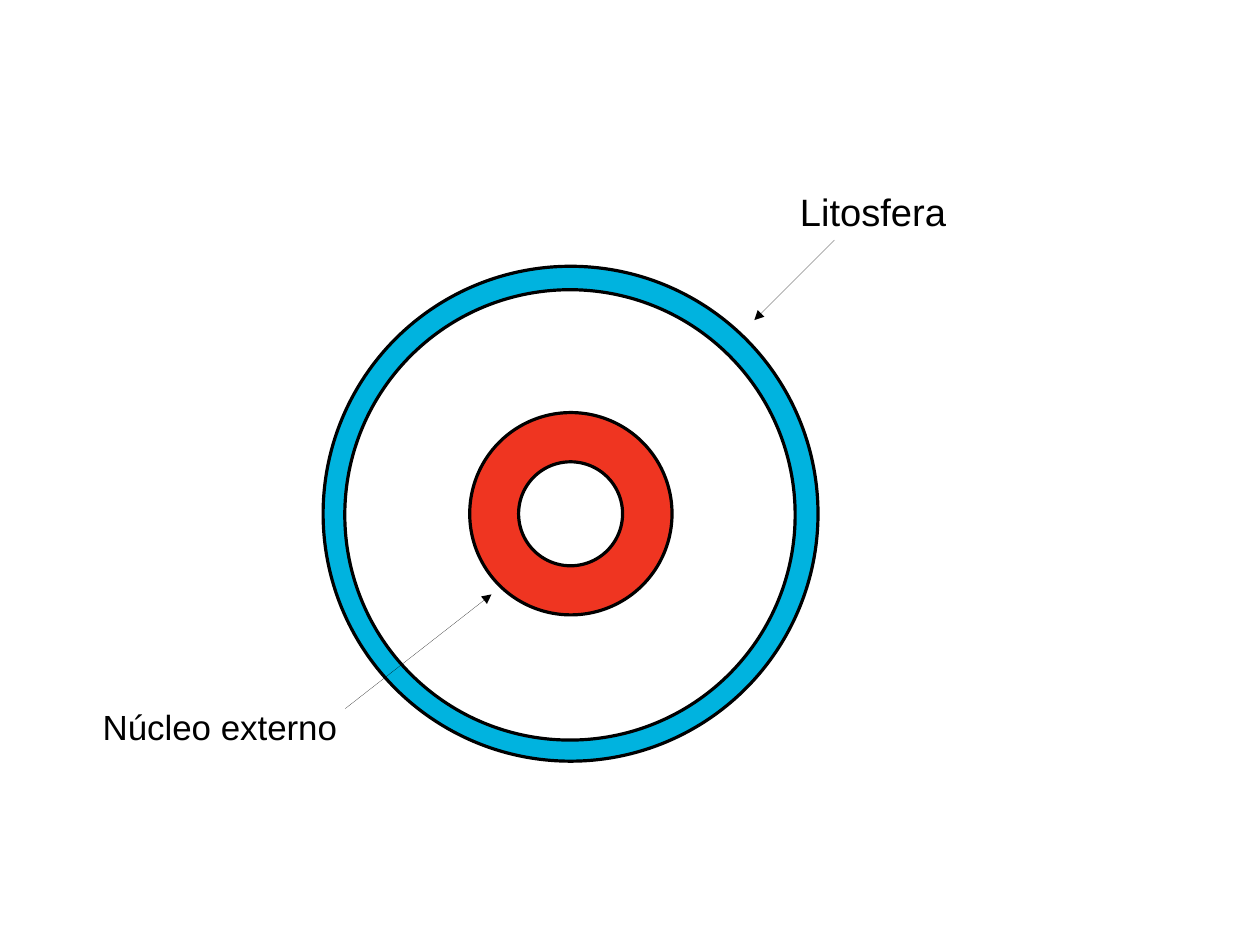
from lxml.etree import SubElement
from pptx import Presentation
from pptx.dml.color import RGBColor
from pptx.enum.shapes import MSO_CONNECTOR, MSO_SHAPE
from pptx.enum.text import MSO_AUTO_SIZE
from pptx.oxml.ns import qn
from pptx.util import Cm, Inches, Pt

THEME = {
    "font": "Arial",
    "ink": RGBColor.from_string("000000"),
    "paper": RGBColor.from_string("FFFFFF"),
    "lithosphere": RGBColor.from_string("00B3DF"),
    "outer_core": RGBColor.from_string("EF3521"),
    "large": Pt(24),
    "small": Pt(22),
    "outline": Pt(2),
    "hairline": "0",
}
CELL = Inches(0.1)  # square grid, about 110 columns by 83 rows


def grid(*cells):
    return [round(n * CELL) for n in cells]


def add_label(s, text, *, box, size, wrap):
    tb = s.shapes.add_textbox(*grid(*box))
    tf = tb.text_frame
    tf.word_wrap = wrap
    tf.auto_size = MSO_AUTO_SIZE.SHAPE_TO_FIT_TEXT
    r = tf.paragraphs[0].add_run()
    r.text = text
    r.font.name = THEME["font"]
    r.font.size = size
    r.font.color.rgb = THEME["ink"]


prs = Presentation()
prs.slide_width = Cm(28)
prs.slide_height = Cm(21)
s = prs.slides.add_slide(prs.slide_layouts[6])

# Earth's layers from the outside in: centre column, centre row, diameter, fill
layers = [
    (49.92, 44.95, 43.3, THEME["lithosphere"]),
    (49.87, 45.05, 39.4, THEME["paper"]),
    (49.95, 44.95, 17.7, THEME["outer_core"]),
    (49.92, 44.95, 9.1, THEME["paper"]),
]
for cx, cy, d, color in layers:
    sp = s.shapes.add_shape(MSO_SHAPE.OVAL, *grid(cx - d / 2, cy - d / 2, d, d))
    sp.shadow.inherit = False
    sp.fill.solid()
    sp.fill.fore_color.rgb = color
    sp.line.color.rgb = THEME["ink"]
    sp.line.width = THEME["outline"]

# Labels: text, box, type size, wrap, arrow from label to layer
labels = [
    ("Litosfera", (69, 16, 14.8, 6.7), THEME["large"], False, (73, 21, 66, 28)),
    ("Núcleo externo", (8, 61.2, 24, 4.4), THEME["small"], True, (30.2, 62, 43, 52)),
]
for text, box, size, wrap, ends in labels:
    add_label(s, text, box=box, size=size, wrap=wrap)
    arrow = s.shapes.add_connector(MSO_CONNECTOR.STRAIGHT, *grid(*ends))
    arrow.line.color.rgb = THEME["ink"]
    ln = arrow._element.spPr.find(qn("a:ln"))
    ln.set("w", THEME["hairline"])  # line.width = 0 would fall back to the theme width
    SubElement(ln, qn("a:tailEnd"), type="triangle")
    SubElement(arrow._element.spPr, qn("a:effectLst"))

prs.save("out.pptx")
